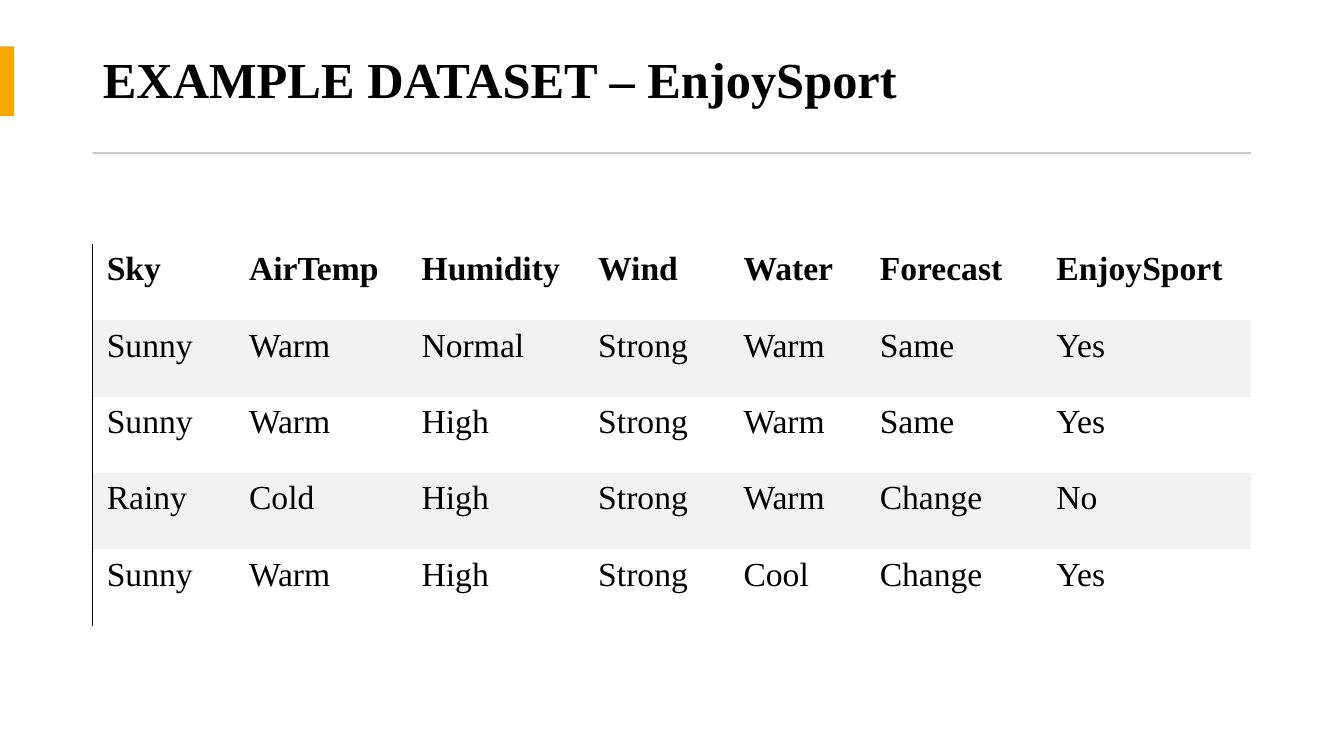
from dataclasses import dataclass

from lxml import etree
from pptx import Presentation, util as u
from pptx.dml.color import RGBColor
from pptx.enum import shapes, text
from pptx.oxml import ns
from pptx.slide import Slide
from pptx.table import Table, _Cell
from pptx.text.text import _Paragraph

SLIDE_W, SLIDE_H = u.Inches(13.33), u.Inches(7.5)
NO_GRID_STYLE = "{2D5ABB26-0587-4C30-8999-92F81FD0307C}"


@dataclass(frozen=True)
class Theme:
    font: str = "Times New Roman"
    ink: str = "000000"
    paper: str = "FFFFFF"
    band: str = "F2F2F2"
    accent: str = "F5A700"
    rule: str = "C9C9C9"
    title_size: int = 36
    table_size: int = 24
    border: float = 0.75


@dataclass(frozen=True)
class Area:
    """A box in percent of the slide's width and height."""
    x: float
    y: float
    w: float
    h: float

    def emu(self) -> tuple[int, int, int, int]:
        return (round(SLIDE_W * self.x / 100), round(SLIDE_H * self.y / 100),
                round(SLIDE_W * self.w / 100), round(SLIDE_H * self.h / 100))


@dataclass(frozen=True)
class Bar:
    area: Area
    color: str


@dataclass(frozen=True)
class Column:
    name: str
    weight: float
    values: tuple[str, ...]


THEME = Theme()
MARGIN, CONTENT = 6.9, 86.2
TITLE = Area(MARGIN, 3.6, CONTENT, 14.67)
DATASET = Area(MARGIN, 32.27, CONTENT, 50.5)
BARS = (
    Bar(Area(0, 6.13, 1.05, 9.2), THEME.accent),
    Bar(Area(MARGIN, 20.13, CONTENT, 0.27), THEME.rule),
)
COLUMNS = (
    Column("Sky", 1.41, ("Sunny", "Sunny", "Rainy", "Sunny")),
    Column("AirTemp", 1.71, ("Warm", "Warm", "Cold", "Warm")),
    Column("Humidity", 1.75, ("Normal", "High", "High", "High")),
    Column("Wind", 1.44, ("Strong",) * 4),
    Column("Water", 1.35, ("Warm", "Warm", "Warm", "Cool")),
    Column("Forecast", 1.75, ("Same", "Same", "Change", "Change")),
    Column("EnjoySport", 2.07, ("Yes", "Yes", "No", "Yes")),
)


def style_paragraph(p: _Paragraph, size: int, bold: bool) -> None:
    p.alignment = text.PP_ALIGN.LEFT
    p.font.name = THEME.font
    p.font.size = u.Pt(size)
    p.font.bold = bold
    p.font.color.rgb = RGBColor.from_string(THEME.ink)


def add_title(s: Slide, words: str) -> None:
    title = s.shapes.title
    title.left, title.top, title.width, title.height = TITLE.emu()
    tf = title.text_frame
    tf.text = words
    tf.word_wrap = True
    tf.auto_size = text.MSO_AUTO_SIZE.NONE
    tf.vertical_anchor = text.MSO_ANCHOR.MIDDLE
    p = tf.paragraphs[0]
    p.line_spacing = 0.9
    style_paragraph(p, THEME.title_size, bold=True)


def add_bar(s: Slide, bar: Bar) -> None:
    sp = s.shapes.add_shape(shapes.MSO_SHAPE.RECTANGLE, *bar.area.emu())
    sp.shadow.inherit = False
    sp.fill.solid()
    sp.fill.fore_color.rgb = RGBColor.from_string(bar.color)
    sp.line.fill.background()


def add_left_border(cell: _Cell) -> None:
    """Insert the line first, since it must precede the cell's fill."""
    line = etree.Element(ns.qn("a:lnL"), w=str(u.Pt(THEME.border)))
    fill = etree.SubElement(line, ns.qn("a:solidFill"))
    etree.SubElement(fill, ns.qn("a:srgbClr"), val=THEME.ink)
    cell._tc.get_or_add_tcPr().insert(0, line)


def fill_cell(cell: _Cell, words: str, row: int) -> None:
    cell.text = words
    cell.vertical_anchor = text.MSO_ANCHOR.MIDDLE
    cell.margin_left, cell.margin_top = u.Inches(0.14), u.Inches(0.04)
    cell.margin_right, cell.margin_bottom = u.Inches(0.2), u.Inches(0.29)
    cell.fill.solid()
    color = THEME.band if row % 2 else THEME.paper
    cell.fill.fore_color.rgb = RGBColor.from_string(color)
    style_paragraph(cell.text_frame.paragraphs[0], THEME.table_size, bold=row == 0)


def add_dataset(s: Slide) -> Table:
    x, y, w, h = DATASET.emu()
    n_rows = 1 + len(COLUMNS[0].values)
    frame = s.shapes.add_table(n_rows, len(COLUMNS), x, y, w, h)
    table = frame.table
    table._tbl.tblPr.find(ns.qn("a:tableStyleId")).text = NO_GRID_STYLE
    table.first_row = table.horz_banding = False
    total = sum(column.weight for column in COLUMNS)
    for c, column in enumerate(COLUMNS):
        table.columns[c].width = round(w * column.weight / total)
        for r, words in enumerate((column.name, *column.values)):
            fill_cell(table.cell(r, c), words, r)
    for r in range(n_rows):
        add_left_border(table.cell(r, 0))
    return table


def main() -> None:
    prs = Presentation()
    prs.slide_width, prs.slide_height = SLIDE_W, SLIDE_H
    s = prs.slides.add_slide(prs.slide_layouts.get_by_name("Title Only"))
    add_title(s, "EXAMPLE DATASET – EnjoySport")
    for bar in BARS:
        add_bar(s, bar)
    add_dataset(s)
    prs.save("out.pptx")


if __name__ == "__main__":
    main()
